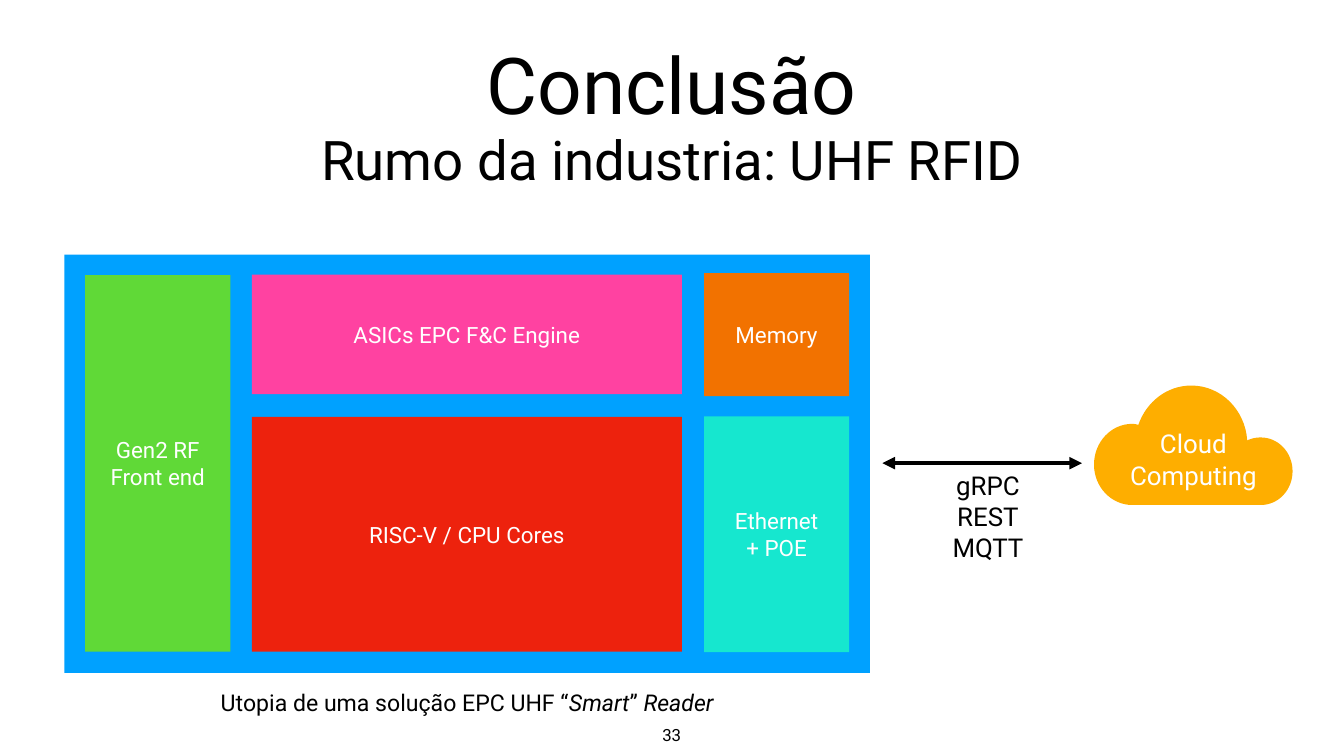
from lxml.etree import SubElement
from pptx import Presentation
from pptx.dml.color import RGBColor
from pptx.enum.shapes import MSO_CONNECTOR, MSO_SHAPE
from pptx.enum.text import MSO_ANCHOR, PP_ALIGN
from pptx.oxml.ns import qn
from pptx.util import Inches, Pt

COLORS = {
    "black": "000000", "white": "FFFFFF", "reader": "00A1FF", "cloud": "FEAE00",
    "green": "60D937", "red": "ED220D", "pink": "FF42A1", "teal": "16E7CF",
    "orange": "F27200",
}
FONT = "Roboto"

# Content: each paragraph is a string, or a list of (text, italic) runs
TITLE = ["Conclusão"]
READER = (1.28, 5.05, 15.98, 8.3)
BLOCKS = [  # lines, colour, (left, top, width, height)
    (["Gen2 RF", "Front end"], "green", (1.69, 5.46, 2.88, 7.47)),
    (["RISC-V / CPU Cores"], "red", (5, 8.27, 8.53, 4.66)),
    (["ASICs EPC F&C Engine"], "pink", (5, 5.45, 8.53, 2.37)),
    (["Ethernet", "+ POE"], "teal", (13.97, 8.26, 2.88, 4.68)),
    (["Memory"], "orange", (13.97, 5.42, 2.88, 2.44)),
]
CAPTION = [("Utopia de uma solução EPC UHF “", False), ("Smart", True),
           ("” ", False), ("Reader", True)]
LABELS = [  # paragraphs, size, colour, wrap, anchor, box
    (["Cloud", "Computing"], 37, "white", False, MSO_ANCHOR.MIDDLE, (22.34, 8.45, 2.68, 1.32)),
    (["gRPC", "REST", "MQTT"], 37, "black", False, MSO_ANCHOR.MIDDLE, (18.83, 9.27, 1.55, 1.93)),
    (["33"], 24, "black", False, MSO_ANCHOR.TOP, (13.08, 14.31, 0.5, 0.5)),
    ([CAPTION], 33, "black", False, MSO_ANCHOR.MIDDLE, (4.07, 13.59, 10.4, 0.67)),
    (["Rumo da industria: UHF RFID"], 78, "black", True, MSO_ANCHOR.MIDDLE,
     (1.85, 1.89, 22.97, 2.5)),
]
# Cloud outline: a point is a straight side, three points are a Bézier curve
CLOUD_START = (23.64, 7.65)
CLOUD = [
    [(23.16, 7.65), (22.75, 7.97), (22.59, 8.43)],
    [(22.55, 8.42), (22.51, 8.41), (22.47, 8.41)],
    [(22.05, 8.41), (21.71, 8.77), (21.71, 9.22)],
    [(21.71, 9.66), (22.05, 10.02), (22.47, 10.02)],
    [(25.02, 10.02)],
    [(25.37, 10.02), (25.65, 9.72), (25.65, 9.35)],
    [(25.65, 8.98), (25.37, 8.68), (25.02, 8.68)],
    [(24.92, 8.68), (24.83, 8.7), (24.75, 8.74)],
    [(24.71, 8.13), (24.23, 7.65), (23.64, 7.65)],
]
ARROW = (17.51, 9.19, 21.47, 9.19)


def rgb(name):
    return RGBColor.from_string(COLORS[name])


def inches(values):
    return [Inches(v) for v in values]


def paint(sp, color):
    sp.shadow.inherit = False
    sp.fill.solid()
    sp.fill.fore_color.rgb = rgb(color)
    sp.line.fill.background()


def write(sp, paragraphs, size, color, wrap=True, anchor=MSO_ANCHOR.MIDDLE):
    tf = sp.text_frame
    frame = {"word_wrap": wrap, "vertical_anchor": anchor}
    frame.update({f"margin_{side}": Inches(0.06) for side in ("left", "right", "top", "bottom")})
    for name, value in frame.items():
        setattr(tf, name, value)
    for i, runs in enumerate(paragraphs):
        p = tf.paragraphs[0] if i == 0 else tf.add_paragraph()
        for name, value in {"alignment": PP_ALIGN.CENTER, "line_spacing": 1.0,
                            "space_before": Pt(0)}.items():
            setattr(p, name, value)
        for text, italic in [(runs, False)] if isinstance(runs, str) else runs:
            r = p.add_run()
            r.text = text
            for name, value in {"name": FONT, "size": Pt(size), "italic": italic}.items():
                setattr(r.font, name, value)
            r.font.color.rgb = rgb(color)


def curve(p0, p1, p2, p3, steps=16):
    for t in (n / steps for n in range(1, steps + 1)):
        u = 1 - t
        yield tuple(u**3 * a + 3 * u * u * t * b + 3 * u * t * t * c + t**3 * d
                    for a, b, c, d in zip(p0, p1, p2, p3))


prs = Presentation()
prs.slide_width, prs.slide_height = Inches(26.67), Inches(15)
s = prs.slides.add_slide(prs.slide_layouts[5])

# Title
title = s.shapes.title
title.left, title.top, title.width, title.height = inches((6.08, 0.39, 14.5, 2.5))
write(title, TITLE, 112, "black")

# Reader and its blocks
paint(s.shapes.add_shape(MSO_SHAPE.RECTANGLE, *inches(READER)), "reader")
for lines, color, box in BLOCKS:
    sp = s.shapes.add_shape(MSO_SHAPE.RECTANGLE, *inches(box))
    paint(sp, color)
    write(sp, lines, 32, "white")

# Cloud
points, last = [], CLOUD_START
for part in CLOUD:
    points += part if len(part) == 1 else curve(last, *part)
    last = part[-1]
outline = s.shapes.build_freeform(*inches(CLOUD_START))
outline.add_line_segments([inches(pt) for pt in points], close=True)
paint(outline.convert_to_shape(), "cloud")

# Two-way arrow between reader and cloud
link = s.shapes.add_connector(MSO_CONNECTOR.STRAIGHT, *inches(ARROW))
link.line.width = Pt(6)
link.line.color.rgb = rgb("black")
for end in ("a:headEnd", "a:tailEnd"):
    SubElement(link.line._get_or_add_ln(), qn(end), type="triangle")
SubElement(link._element.spPr, qn("a:effectLst"))

# Labels, caption, subtitle and page number
for paragraphs, size, color, wrap, anchor, box in LABELS:
    write(s.shapes.add_textbox(*inches(box)), paragraphs, size, color, wrap, anchor)

prs.save("out.pptx")
